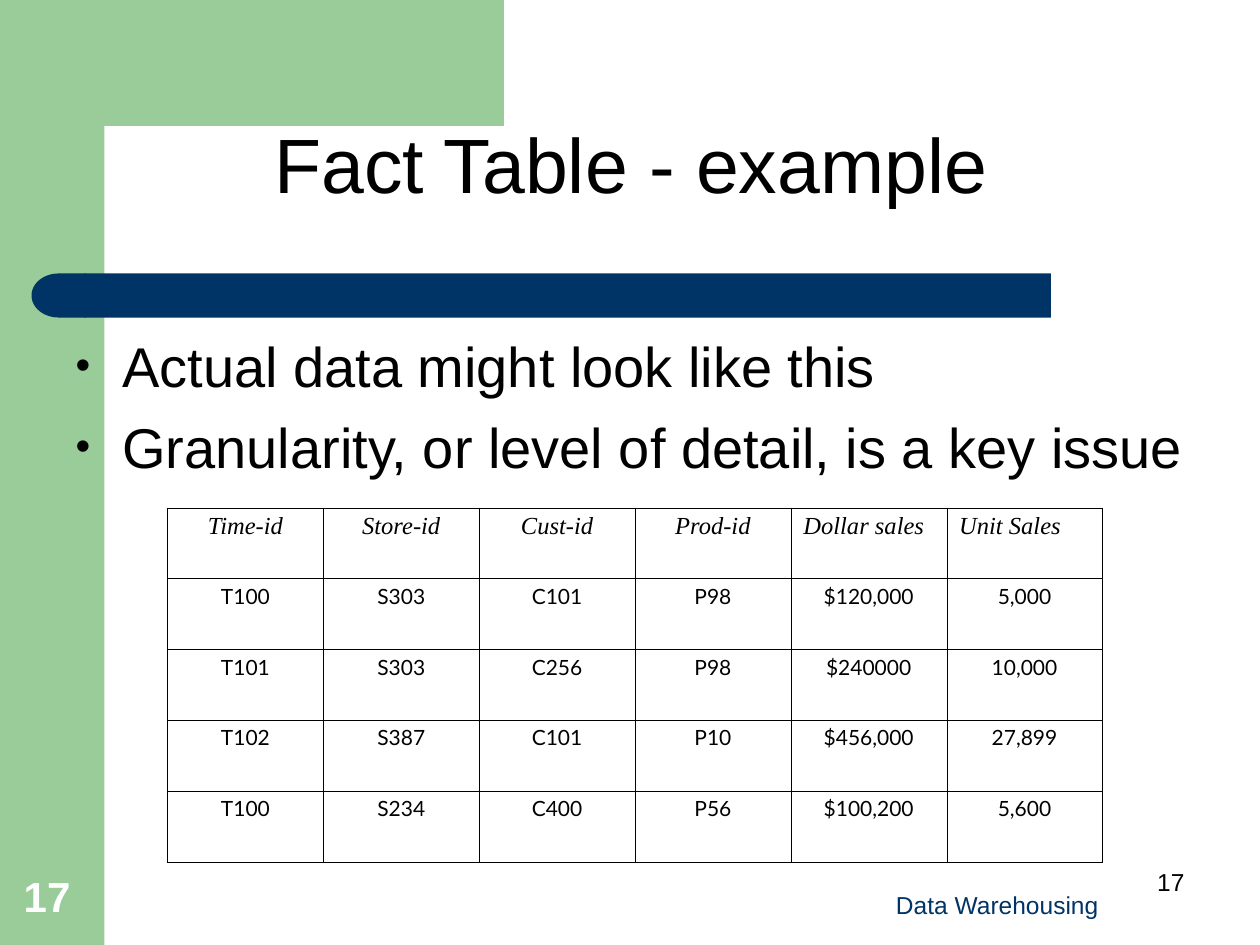
"""Build the fact table example slide."""
import math

from lxml import etree
from pptx import Presentation
from pptx import util as u
from pptx.dml.color import RGBColor
from pptx.enum import shapes, text
from pptx.oxml import ns

COLORS = {"green": "99CC99", "navy": "003366", "black": "000000", "white": "FFFFFF"}
LEFT, CENTER, RIGHT = text.PP_ALIGN.LEFT, text.PP_ALIGN.CENTER, text.PP_ALIGN.RIGHT
TOP, MIDDLE, BOTTOM = text.MSO_ANCHOR.TOP, text.MSO_ANCHOR.MIDDLE, text.MSO_ANCHOR.BOTTOM
HEADINGS = ["Time-id", "Store-id", "Cust-id", "Prod-id", "Dollar sales", "Unit Sales"]
SALES = [
    ["T100", "S303", "C101", "P98", "$120,000", "5,000"],
    ["T101", "S303", "C256", "P98", "$240000", "10,000"],
    ["T102", "S387", "C101", "P10", "$456,000", "27,899"],
    ["T100", "S234", "C400", "P56", "$100,200", "5,600"],
]


class SlideBuilder:
    """Hold the style and the current slide."""

    def __init__(self, slide, font="Arial"):
        self.slide = slide
        self.font = font

    def color(self, name):
        return RGBColor.from_string(COLORS[name])

    def paint(self, shape, color):
        shape.shadow.inherit = False
        shape.fill.solid()
        shape.fill.fore_color.rgb = self.color(color)
        shape.line.fill.background()
        return shape

    def block(self, kind, box, color):
        return self.paint(self.slide.shapes.add_shape(kind, *map(u.Inches, box)), color)

    def outline(self, points, color):
        builder = self.slide.shapes.build_freeform(*points[0], scale=u.Inches(1))
        builder.add_line_segments(points[1:], close=True)
        return self.paint(builder.convert_to_shape(), color)

    def format(self, paragraph, size, color="black", align=LEFT, font=None, bold=False, italic=False):
        paragraph.alignment = align
        paragraph.font.name = font or self.font
        paragraph.font.size = u.Pt(size)
        paragraph.font.color.rgb = self.color(color)
        paragraph.font.bold = bold
        paragraph.font.italic = italic

    def fill_text(self, shape, lines, anchor, size, **style):
        frame = shape.text_frame
        frame.text = "\n".join(lines)
        frame.word_wrap = True
        frame.auto_size = text.MSO_AUTO_SIZE.NONE
        frame.vertical_anchor = anchor
        for paragraph in frame.paragraphs:
            self.format(paragraph, size, **style)
        return frame

    def label(self, words, box, anchor, size, **style):
        holder = self.slide.shapes.add_textbox(*map(u.Inches, box))
        self.fill_text(holder, [words], anchor, size, **style)

    def placeholder(self, index, lines, box, anchor, size, **style):
        holder = self.slide.placeholders[index]
        holder.left, holder.top, holder.width, holder.height = map(u.Inches, box)
        holder.element.getparent().append(holder.element)
        return self.fill_text(holder, lines, anchor, size, **style)

    def bullets(self, lines, box, size):
        for item in self.placeholder(1, lines, box, TOP, size).paragraphs:
            item.space_before = u.Pt(8)
            properties = item._p.get_or_add_pPr()
            properties.set("marL", str(u.Inches(0.37)))
            properties.set("indent", str(-u.Inches(0.37)))
            bullet_color = etree.SubElement(properties, ns.qn("a:buClr"))
            etree.SubElement(bullet_color, ns.qn("a:srgbClr"), val=COLORS["black"])
            etree.SubElement(properties, ns.qn("a:buSzPct"), val="75000")
            etree.SubElement(properties, ns.qn("a:buChar"), char="•")
            defaults = properties.find(ns.qn("a:defRPr"))
            if defaults is not None:
                properties.append(defaults)

    def borders(self, cell, outer_sides):
        properties = cell._tc.get_or_add_tcPr()
        for position, side in enumerate("LRTB"):
            width = u.Pt(0.23 if side in outer_sides else 0.11)
            line = etree.Element(ns.qn(f"a:ln{side}"), w=str(width))
            fill = etree.SubElement(line, ns.qn("a:solidFill"))
            etree.SubElement(fill, ns.qn("a:srgbClr"), val=COLORS["black"])
            properties.insert(position, line)

    def table(self, rows, box):
        last_row, last_column = len(rows) - 1, len(rows[0]) - 1
        grid = self.slide.shapes.add_table(len(rows), len(rows[0]), *map(u.Inches, box)).table
        grid.first_row = grid.horz_banding = False
        for r, row in enumerate(rows):
            for c, value in enumerate(row):
                cell = grid.cell(r, c)
                cell.text = value
                cell.fill.background()
                entry = cell.text_frame.paragraphs[0]
                if r == 0:
                    self.format(entry, 14, align=LEFT if c >= 4 else CENTER,
                                font="Times New Roman", italic=True)
                else:
                    self.format(entry, 12, align=CENTER, font="Lato")
                entry.line_spacing = 0.97 if r else 0.93
                entry.space_before = u.Pt(3 if r else 3.5)
                edges = {"L": c == 0, "R": c == last_column, "T": r == 0, "B": r == last_row}
                self.borders(cell, [side for side, outer in edges.items() if outer])


def main():
    deck = Presentation()
    deck.slide_width, deck.slide_height = u.Inches(10), u.Inches(7.5)
    page = SlideBuilder(deck.slides.add_slide(deck.slide_layouts[1]))

    page.block(shapes.MSO_SHAPE.RECTANGLE, (0, 0, 0.83, 7.5), "green")
    angles = [math.radians(degrees) for degrees in range(0, 91, 5)]
    corner = [(1.16 - 0.33 * math.sin(a), 1.16 - 0.33 * math.cos(a)) for a in angles]
    page.outline([(0.5, 0), (3.5, 0), (3.5, 0.83), *corner, (0.83, 1.28), (0.5, 1.28)], "green")
    bar = page.block(shapes.MSO_SHAPE.ROUNDED_RECTANGLE, (0.67, 2.17, 7.67, 0.35), "navy")
    bar.adjustments[0] = 0
    bar_end = page.block(shapes.MSO_SHAPE.FLOWCHART_DELAY, (0.25, 2.17, 0.43, 0.35), "navy")
    bar_end.rotation = 180

    page.label("17", (7.17, 6.83, 2.33, 0.52), TOP, 14, align=RIGHT)
    page.placeholder(0, ["Fact Table - example"], (0.51, 0.67, 9, 1.25), MIDDLE, 44, align=CENTER)
    page.bullets(["Actual data might look like this",
                  "Granularity, or level of detail, is a key issue"], (0.5, 2.58, 9, 4.12), 32)
    page.table([HEADINGS, *SALES], (1.33, 4.03, 7.42, 2.81))
    page.label("Data Warehousing", (6.33, 6.83, 3.17, 0.52), BOTTOM, 14, color="navy", align=CENTER)
    page.label("17", (0.09, 6.83, 0.64, 0.53), BOTTOM, 24, color="white", bold=True)
    deck.save("out.pptx")


if __name__ == "__main__":
    main()
